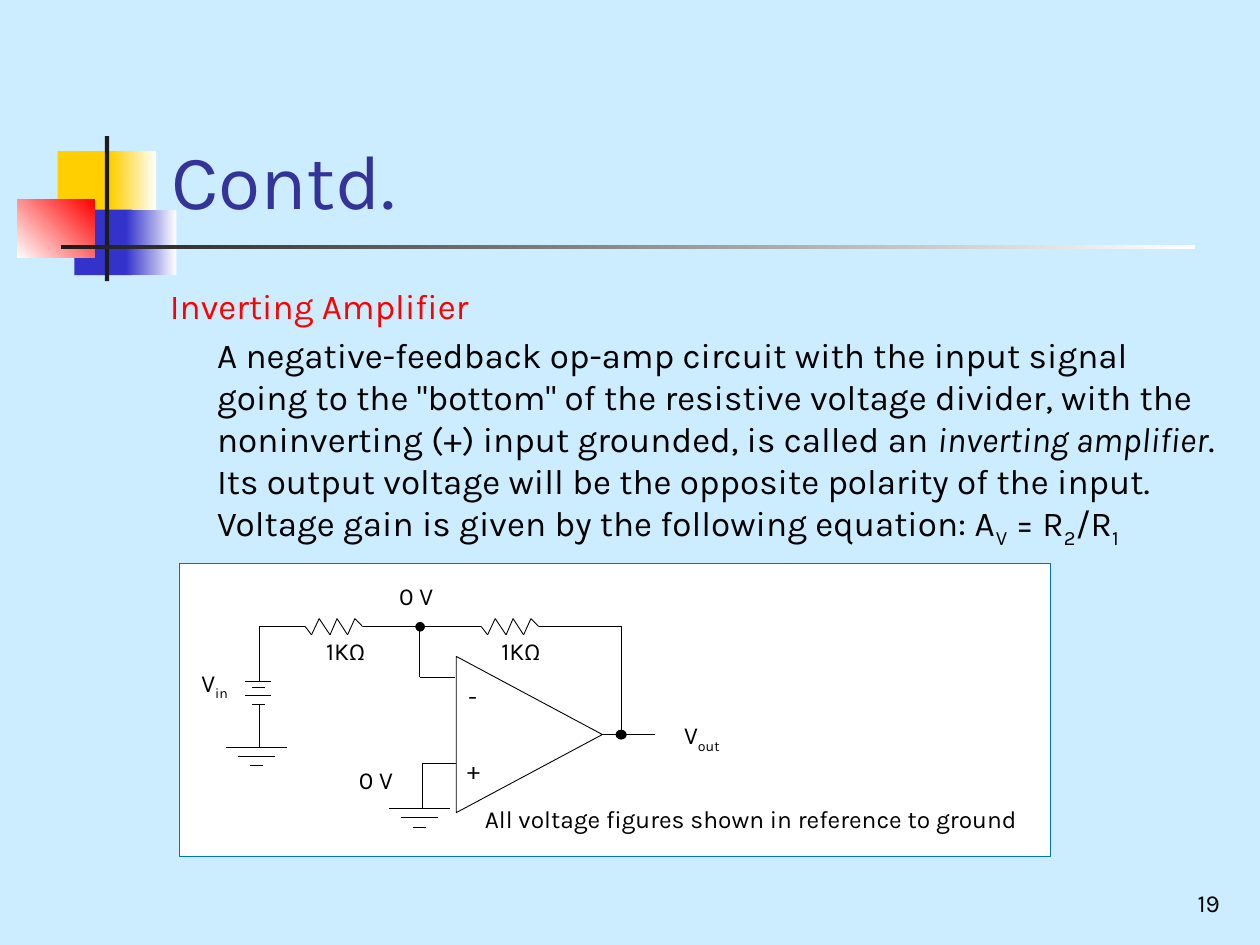
from itertools import pairwise

from lxml.etree import SubElement
from pptx import Presentation
from pptx.dml.color import RGBColor
from pptx.enum.shapes import MSO_CONNECTOR as CONN, MSO_SHAPE as SHAPE
from pptx.enum.text import MSO_ANCHOR as ANCHOR, PP_ALIGN as ALIGN
from pptx.oxml.ns import qn
from pptx.util import Pt

COLORS = {
    "sky": "CCECFF", "yellow": "FFCF01", "blue": "3333CC", "red": "FF0000",
    "white": "FFFFFF", "dark": "1C1C1C", "title": "333399", "black": "000000",
    "frame": "0070C0",
}


def rgb(name):
    """Return the named colour."""
    return RGBColor.from_string(COLORS[name])


def add_run(p, text, size=14, color="black", italic=False, sub=False, font="Karla"):
    """Append a formatted run to a paragraph."""
    r = p.add_run()
    r.text = text
    r.font.name, r.font.size, r.font.italic = font, Pt(size), italic
    r.font.color.rgb = rgb(color)
    if sub:
        r._r.get_or_add_rPr().set("baseline", "-25000")


class Deck:
    """Hold the line style and the current slide."""

    def __init__(self, slide, line_width=0.5):
        """Set the slide and paint its background."""
        self.s, self.line_width = slide, line_width
        slide.background.fill.solid()
        slide.background.fill.fore_color.rgb = rgb("sky")

    def shape(self, kind, x, y, w, h, fill=None, line=None, width=None, fade=None, angle=0):
        """Add a preset shape with a plain, fading or empty fill."""
        sp = self.s.shapes.add_shape(kind, Pt(x), Pt(y), Pt(w), Pt(h))
        sp.shadow.inherit = False
        if fade:
            sp.fill.gradient()
            sp.fill.gradient_angle = angle
            for stop, name in zip(sp.fill.gradient_stops, (fill, fade)):
                stop.color.rgb = rgb(name)
        elif fill:
            sp.fill.solid()
            sp.fill.fore_color.rgb = rgb(fill)
        else:
            sp.fill.background()
        if line:
            sp.line.color.rgb = rgb(line)
            sp.line.width = Pt(width or self.line_width)
        else:
            sp.line.fill.background()
        return sp

    def wire(self, *points):
        """Join the points with straight lines."""
        for (x1, y1), (x2, y2) in pairwise(points):
            c = self.s.shapes.add_connector(CONN.STRAIGHT, Pt(x1), Pt(y1), Pt(x2), Pt(y2))
            c.line.color.rgb = rgb("black")
            c.line.width = Pt(self.line_width)
            SubElement(c._element.spPr, qn("a:effectLst"))

    def bars(self, x, y, halves, gaps):
        """Stack centred horizontal lines."""
        for half, gap in zip(halves, gaps):
            y += gap
            self.wire((x - half, y), (x + half, y))

    def ground(self, x, y):
        """Draw a ground symbol."""
        self.bars(x, y, (17.3, 10.4, 3.6), (0, 5.2, 5.2))

    def battery(self, x, y):
        """Draw a two-cell battery."""
        self.bars(x, y, (7.4, 3.6, 7.4, 3.6), (0, 3.6, 4.4, 5.1))

    def resistor(self, x, y):
        """Draw a zigzag resistor."""
        xs = (0, 3.6, 8, 14.2, 18.2, 24.2, 28.4, 32.8)
        ys = (0, 4.8, -4.5, 4.8, -4.5, 4.8, -4.5, 0)
        self.wire(*((x + dx, y + dy) for dx, dy in zip(xs, ys)))

    def text(self, x, y, w, h, *paragraphs, anchor=ANCHOR.TOP, align=ALIGN.LEFT, wrap=True):
        """Add a text box of paragraphs, each a list of (text, format) runs."""
        tf = self.s.shapes.add_textbox(Pt(x), Pt(y), Pt(w), Pt(h)).text_frame
        tf.word_wrap, tf.vertical_anchor = wrap, anchor
        for i, runs in enumerate(paragraphs):
            p = tf.add_paragraph() if i else tf.paragraphs[0]
            p.alignment = align
            for text, style in runs:
                add_run(p, text, **style)
        return tf


def draw_header(d):
    """Draw the decoration, title and page number."""
    rect = SHAPE.RECTANGLE
    d.shape(rect, 33, 86.4, 34.6, 37.4, "yellow")
    d.shape(rect, 63.4, 86.4, 25.9, 37.4, "yellow", fade="white")
    d.shape(rect, 42.5, 119.8, 33.1, 37.4, "blue")
    d.shape(rect, 72, 119.8, 28.8, 37.4, "blue", fade="white")
    d.shape(rect, 9.8, 113.8, 44.2, 33.5, "white", fade="red", angle=45)
    d.shape(rect, 59.9, 77.8, 2.5, 82.8, "dark")
    d.shape(rect, 34.8, 140.1, 648, 2.5, "dark", fade="white")
    d.text(90.7, 16.6, 613.4, 115.2, [("Contd.", dict(size=44, color="title"))],
           anchor=ANCHOR.BOTTOM)
    d.text(554.4, 491.8, 149.8, 36, [("19", {})], anchor=ANCHOR.BOTTOM, align=ALIGN.RIGHT)


def draw_body(d):
    """Write the heading and the explanation."""
    base = dict(size=20)
    sub = dict(size=20, sub=True)
    tf = d.text(
        90, 159.1, 614.9, 344.9,
        [("Inverting Amplifier", dict(size=20, color="red"))],
        [("A negative-feedback op-amp circuit with the input signal going to the "
          "\"bottom\" of the resistive voltage divider, with the noninverting (+) "
          "input grounded, is called an ", base),
         ("inverting amplifier", dict(size=20, italic=True)),
         (". Its output voltage will be the opposite polarity of the input. "
          "Voltage gain is given by the following equation: A", base),
         ("V", sub), (" = R", base), ("2", sub), ("/R", base), ("1", sub)])
    p = tf.paragraphs[1]
    p.space_before = Pt(4)
    p._p.get_or_add_pPr().set("marL", str(Pt(27)))


def draw_circuit(d):
    """Draw the inverting amplifier circuit and its labels."""
    d.shape(SHAPE.RECTANGLE, 102.2, 321.8, 498.2, 167.8, "white", "frame", 0.25)
    d.shape(SHAPE.ISOSCELES_TRIANGLE, 257.8, 378, 89.3, 83.5, line="black").rotation = 90
    top, out, source = 358, 419.8, 148.2
    d.resistor(174.4, top)
    d.resistor(275, top)
    d.battery(147.6, 389.5)
    d.ground(146.6, 427)
    d.ground(239.8, 462.2)
    d.wire((174.4, top), (source, top), (source, 389.5))
    d.wire((source, 402.6), (source, 427))
    d.wire((207.2, top), (237.6, top))
    d.wire((242.6, top), (275, top))
    d.wire((307.8, top), (355, top), (355, out))
    d.wire((260.3, 387), (239.8, 387), (239.8, 360.7))
    d.wire((260.6, 436), (241.2, 436), (241.2, 462.2))
    d.wire((344.2, out), (374.4, out))
    d.shape(SHAPE.OVAL, 237.6, 355.7, 5, 5, "black", "black")
    d.shape(SHAPE.OVAL, 352.8, 418, 4.3, 3.6, "black", "black", 2)
    for text, x, y, w in (
            ("0 V", 221, 328.3, 48.2), ("0 V", 198, 433.4, 45.4),
            ("1KΩ", 179.3, 360, 49), ("1KΩ", 279.4, 360, 56.2),
            ("All voltage figures shown in reference to ground", 270, 455.8, 422.6)):
        d.text(x, y, w, 24.5, [(text, {})])
    for sign, x, y in (("-", 260.6, 385.9), ("+", 259.9, 427.7)):
        d.text(x, y, 15, 14.4, [(sign, {})], wrap=False)
    for name, x, y in (("in", 108, 378), ("out", 383.8, 408.2)):
        d.text(x, y, 36, 24.5, [("V", {}), (name, dict(sub=True))])


def main():
    """Build and save the slide."""
    prs = Presentation()
    prs.slide_width, prs.slide_height = Pt(720), Pt(540)
    d = Deck(prs.slides.add_slide(prs.slide_layouts[6]))
    draw_header(d)
    draw_body(d)
    draw_circuit(d)
    prs.save("out.pptx")


if __name__ == "__main__":
    main()
